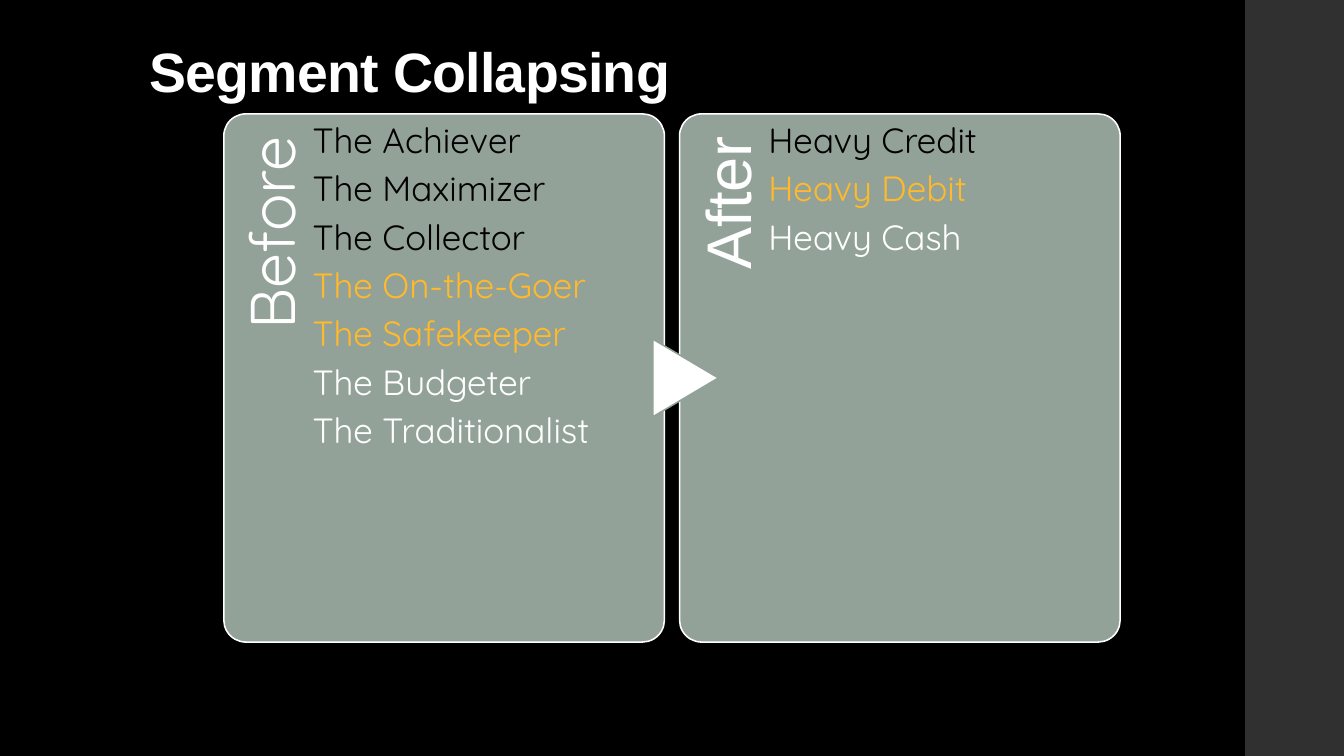
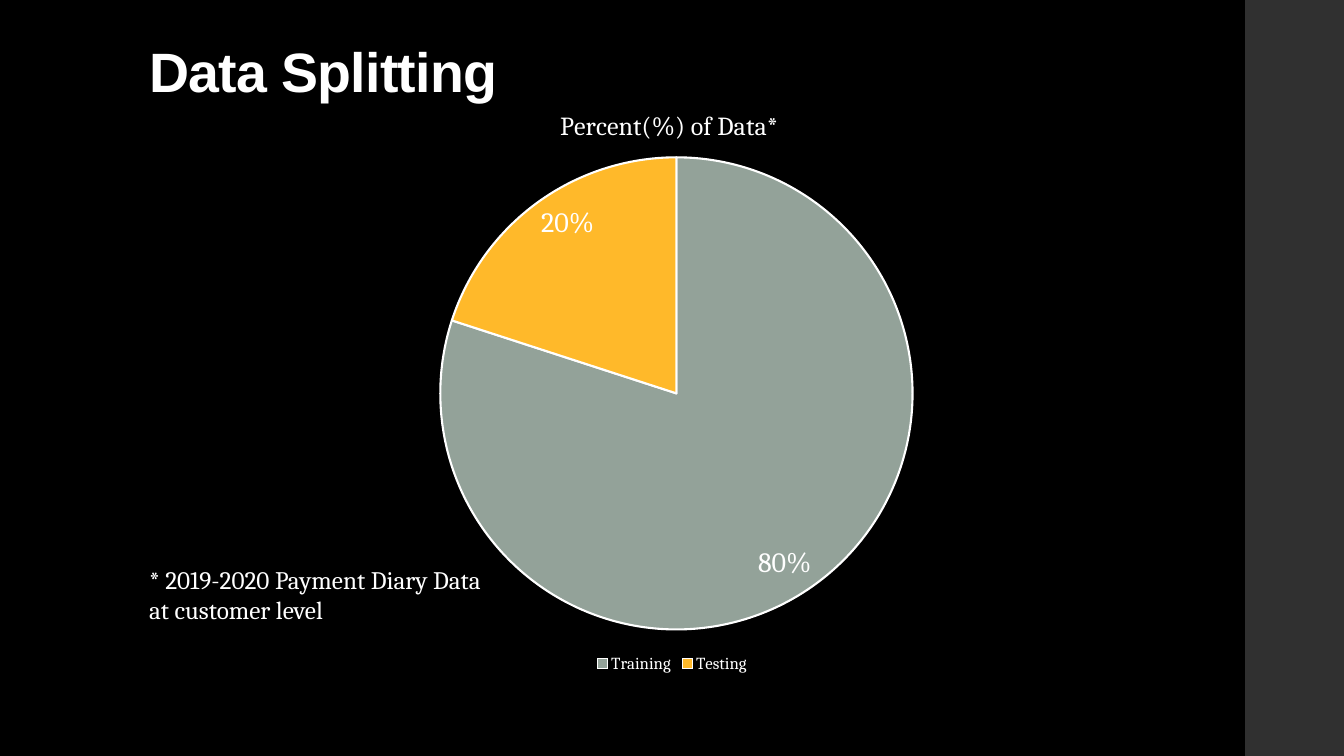
from dataclasses import dataclass

from lxml.etree import SubElement
from pptx import Presentation
from pptx.chart.data import CategoryChartData
from pptx.dml.color import RGBColor
from pptx.enum.chart import XL_CHART_TYPE, XL_LABEL_POSITION, XL_LEGEND_POSITION
from pptx.enum.shapes import MSO_SHAPE
from pptx.enum.text import MSO_ANCHOR, MSO_AUTO_SIZE, PP_ALIGN
from pptx.oxml import parse_xml
from pptx.oxml.ns import nsdecls, qn
from pptx.util import Inches, Pt


@dataclass(frozen=True)
class Theme:
    black: str = "000000"
    white: str = "FFFFFF"
    sage: str = "93A299"
    amber: str = "FFB92A"
    band: str = "303030"
    title_font: str = "Arial"
    list_font: str = "Quicksand"
    chart_font: str = "Cambria"
    title_size: float = 39.6
    label_size: float = 45
    list_size: float = 25
    value_size: float = 20
    heading_size: float = 18.6
    note_size: float = 18
    legend_size: float = 12


THEME = Theme()

# Content
PANELS = [
    {
        "label": "Before",
        "font": THEME.list_font,
        "segments": [
            ("The Achiever", THEME.black),
            ("The Maximizer", THEME.black),
            ("The Collector", THEME.black),
            ("The On-the-Goer", THEME.amber),
            ("The Safekeeper", THEME.amber),
            ("The Budgeter", THEME.white),
            ("The Traditionalist", THEME.white),
        ],
    },
    {
        "label": "After",
        "font": THEME.title_font,
        "segments": [
            ("Heavy Credit", THEME.black),
            ("Heavy Debit", THEME.amber),
            ("Heavy Cash", THEME.white),
        ],
    },
]
SPLIT = [("Training", 80, THEME.sage), ("Testing", 20, THEME.amber)]
CHART_TITLE = "Percent(%) of Data*"
FOOTNOTE = "* 2019-2020 Payment Diary Data at customer level"

# Geometry in inches
SLIDE_WIDTH, SLIDE_HEIGHT = 13.33, 7.5
BAND_LEFT = 12.35
MARGIN_LEFT = 1.38
TITLE_BOX = (MARGIN_LEFT, 0.4, 10.6, 0.69)
CONTENT_LEFT, CONTENT_WIDTH = 2.22, 8.89
PANEL_TOP, PANEL_HEIGHT, PANEL_GAP = 1.13, 5.24, 0.15
PANEL_WIDTH = (CONTENT_WIDTH - PANEL_GAP) / 2
LABEL_LENGTH, LABEL_DEPTH = 4.3, 0.87
LIST_WIDTH = 3.25
ARROW_WIDTH, ARROW_HEIGHT = 0.77, 0.65


def color(value):
    return RGBColor.from_string(value)


def box(left, top, width, height):
    return tuple(Inches(length) for length in (left, top, width, height))


def place(shape, area):
    shape.left, shape.top, shape.width, shape.height = box(*area)


def format_font(font, name, size, fill=THEME.white, bold=False):
    font.name, font.size, font.bold = name, Pt(size), bold
    font.color.rgb = color(fill)


def write_text(frame, lines, *, font, size, fill=THEME.white, bold=False,
               align=None, line_spacing=None, space_after=None):
    """Write a string, or a list of (text, colour) paragraphs."""
    if isinstance(lines, str):
        lines = [(lines, fill)]
    for index, (text, text_color) in enumerate(lines):
        paragraph = frame.add_paragraph() if index else frame.paragraphs[0]
        paragraph.alignment = align
        if line_spacing:
            paragraph.line_spacing = line_spacing
        if space_after is not None:
            paragraph.space_before, paragraph.space_after = Pt(0), Pt(space_after)
        run = paragraph.add_run()
        run.text = text
        format_font(run.font, font, size, text_color, bold)


def set_frame(frame, insets=None, anchor=MSO_ANCHOR.TOP):
    frame.word_wrap = True
    frame.auto_size = MSO_AUTO_SIZE.NONE
    frame.vertical_anchor = anchor
    if insets:
        (frame.margin_left, frame.margin_top,
         frame.margin_right, frame.margin_bottom) = box(*insets)


def add_block(slide, preset, area, fill, line=None):
    shape = slide.shapes.add_shape(preset, *box(*area))
    shape.shadow.inherit = False
    shape.fill.solid()
    shape.fill.fore_color.rgb = color(fill)
    if line:
        shape.line.color.rgb = color(line)
        shape.line.width = Pt(1.1)
    else:
        shape.line.fill.background()
    return shape


def add_slide(presentation, layout_name, title):
    layout = presentation.slide_layouts.get_by_name(layout_name)
    slide = presentation.slides.add_slide(layout)
    heading = slide.shapes.title
    place(heading, TITLE_BOX)
    set_frame(heading.text_frame, anchor=MSO_ANCHOR.BOTTOM)
    write_text(heading.text_frame, title, font=THEME.title_font, size=THEME.title_size,
               bold=True, align=PP_ALIGN.LEFT, line_spacing=0.9)
    for properties in heading.element.iter(qn("a:rPr")):
        properties.set("spc", "-50")
    return slide


def style_master(presentation, slide):
    """Give the master its background and side band, drawn first on a slide."""
    master = presentation.slide_master
    master.background.fill.solid()
    master.background.fill.fore_color.rgb = color(THEME.black)
    area = (BAND_LEFT, 0, SLIDE_WIDTH - BAND_LEFT, SLIDE_HEIGHT)
    band = add_block(slide, MSO_SHAPE.RECTANGLE, area, THEME.band)
    master.shapes.element.insert(2, band.element)


def remove_bullets(shape):
    for properties in shape.element.iter(qn("a:pPr")):
        properties.set("marL", "0")
        properties.set("indent", "0")
        SubElement(properties, qn("a:buNone"))


def add_panel(slide, left, panel, placeholder):
    card = add_block(slide, MSO_SHAPE.ROUNDED_RECTANGLE,
                     (left, PANEL_TOP, PANEL_WIDTH, PANEL_HEIGHT), THEME.sage, THEME.white)
    card.adjustments[0] = 0.05

    center_x = left + LABEL_DEPTH / 2
    center_y = PANEL_TOP + LABEL_LENGTH / 2
    label = slide.shapes.add_textbox(*box(center_x - LABEL_LENGTH / 2,
                                          center_y - LABEL_DEPTH / 2,
                                          LABEL_LENGTH, LABEL_DEPTH))
    label.rotation = 270
    set_frame(label.text_frame, (0, 0.17, 0.22, 0))
    write_text(label.text_frame, panel["label"], font=panel["font"], size=THEME.label_size,
               align=PP_ALIGN.RIGHT, line_spacing=0.9)

    place(placeholder, (left + LABEL_DEPTH + 0.01, PANEL_TOP, LIST_WIDTH, PANEL_HEIGHT))
    set_frame(placeholder.text_frame, (0, 0.09, 0, 0))
    write_text(placeholder.text_frame, panel["segments"], font=THEME.list_font,
               size=THEME.list_size, align=PP_ALIGN.LEFT, line_spacing=0.9, space_after=7.6)
    remove_bullets(placeholder)
    slide.shapes.element.append(placeholder.element)  # in front of its card


def build_segments(slide):
    bodies = [shape for shape in slide.placeholders if shape.placeholder_format.idx in (1, 2)]
    for index, (panel, body) in enumerate(zip(PANELS, bodies)):
        add_panel(slide, CONTENT_LEFT + index * (PANEL_WIDTH + PANEL_GAP), panel, body)
    arrow_left = CONTENT_LEFT + PANEL_WIDTH + 0.21 - ARROW_WIDTH / 2
    arrow_top = PANEL_TOP + (PANEL_HEIGHT - ARROW_HEIGHT) / 2
    arrow = add_block(slide, MSO_SHAPE.FLOWCHART_EXTRACT,
                      (arrow_left, arrow_top, ARROW_WIDTH, ARROW_HEIGHT),
                      THEME.white, THEME.sage)
    arrow.rotation = 90


def set_chart_layout(parent, position, target="", **shares):
    """Place a chart part by shares (x, y, w, h) of the chart's size."""
    for old in parent.findall(qn("c:layout")):
        parent.remove(old)
    inner = f'<c:layoutTarget val="{target}"/>' if target else ""
    modes = "".join(f'<c:{axis}Mode val="edge"/>' for axis in "xy")
    sizes = "".join(f'<c:{key} val="{share}"/>' for key, share in shares.items())
    parent.insert(position, parse_xml(
        f'<c:layout {nsdecls("c")}><c:manualLayout>{inner}{modes}{sizes}'
        "</c:manualLayout></c:layout>"))


def build_split(slide):
    data = CategoryChartData()
    data.categories = [name for name, _, _ in SPLIT]
    data.add_series("Series 1", [value for _, value, _ in SPLIT])
    area = box(CONTENT_LEFT, 0.79, CONTENT_WIDTH, 5.93)
    chart = slide.shapes.add_chart(XL_CHART_TYPE.PIE, *area, data).chart
    format_font(chart.font, THEME.chart_font, 10)

    chart.has_title = True
    write_text(chart.chart_title.text_frame, CHART_TITLE,
               font=THEME.chart_font, size=THEME.heading_size)
    set_chart_layout(chart.chart_title.element, 1, x=0.37, y=0.04)
    chart.has_legend = True
    chart.legend.position = XL_LEGEND_POSITION.BOTTOM
    chart.legend.include_in_layout = False
    format_font(chart.legend.font, THEME.chart_font, THEME.legend_size)

    plot = chart.plots[0]
    plot.vary_by_categories = True
    for index, (_, _, fill) in enumerate(SPLIT):
        slice_format = plot.series[0].points[index].format
        slice_format.fill.solid()
        slice_format.fill.fore_color.rgb = color(fill)
        slice_format.line.color.rgb = color(THEME.white)
        slice_format.line.width = Pt(1.5)
    plot.has_data_labels = True
    labels = plot.data_labels
    labels.show_value, labels.show_percentage = True, False
    labels.number_format, labels.number_format_is_linked = '0"%"', False
    labels.position = XL_LABEL_POSITION.INSIDE_END
    format_font(labels.font, THEME.chart_font, THEME.value_size)
    plot_area = next(chart.element.iter(qn("c:plotArea")))
    set_chart_layout(plot_area, 0, "inner", x=0.24, y=0.13, w=0.53, h=0.79)

    footnote = slide.shapes.add_textbox(*box(MARGIN_LEFT, 5.55, 3.73, 0.71))
    set_frame(footnote.text_frame)
    write_text(footnote.text_frame, FOOTNOTE, font=THEME.chart_font, size=THEME.note_size)


def main():
    presentation = Presentation()
    presentation.slide_width = Inches(SLIDE_WIDTH)
    presentation.slide_height = Inches(SLIDE_HEIGHT)
    segments = add_slide(presentation, "Two Content", "Segment Collapsing")
    style_master(presentation, segments)
    build_segments(segments)
    build_split(add_slide(presentation, "Title Only", "Data Splitting"))
    presentation.save("out.pptx")


if __name__ == "__main__":
    main()
